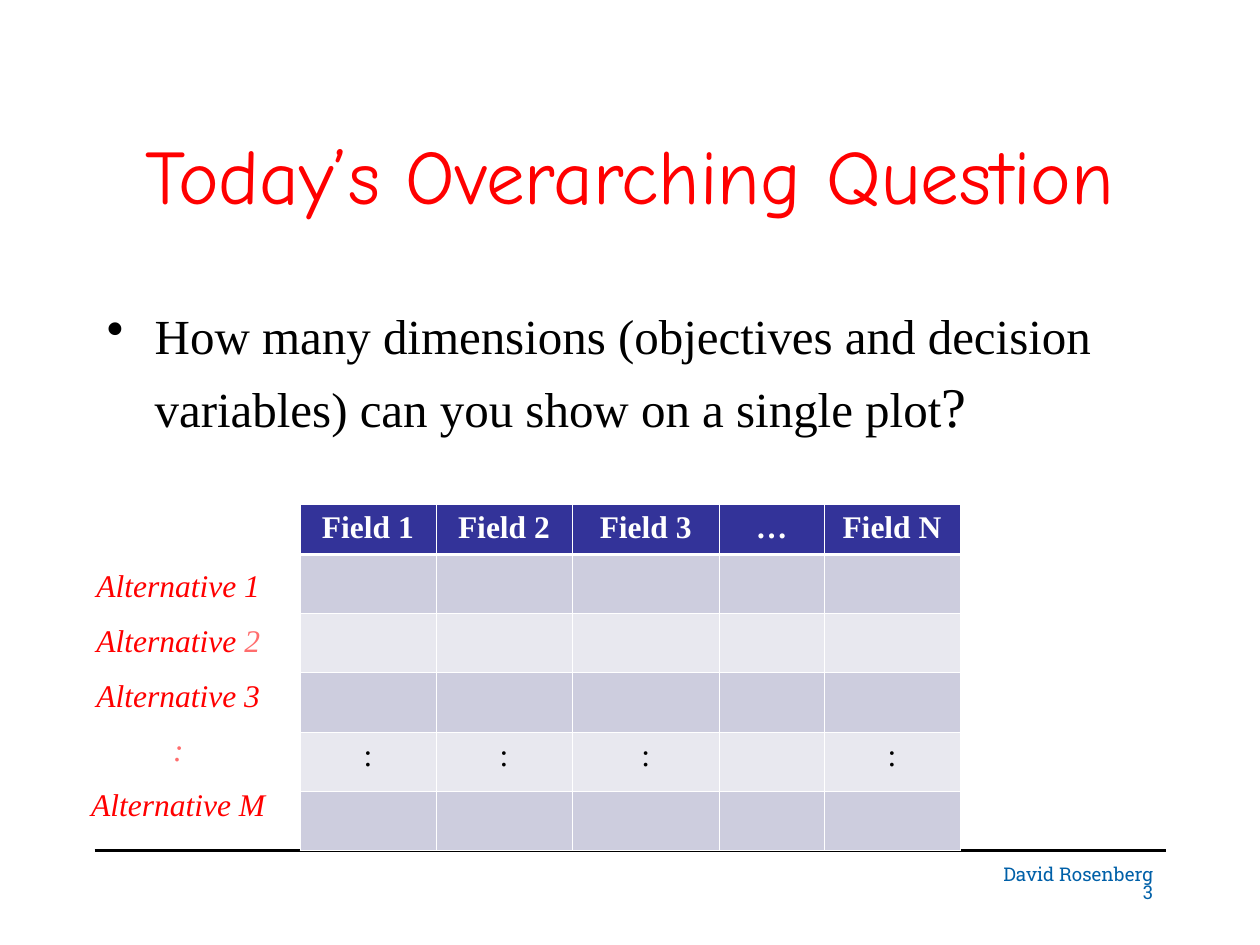
from pptx import Presentation
from pptx.dml.color import RGBColor as RGB
from pptx.enum.shapes import MSO_CONNECTOR as CONN
from pptx.enum.text import MSO_ANCHOR as ANCHOR, PP_ALIGN as ALIGN
from pptx.oxml import parse_xml
from pptx.oxml.ns import nsdecls
from pptx.util import Inches, Pt

COLORS = {
    "black": "000000", "white": "FFFFFF", "red": "FF0000", "pale": "FF6D6D",
    "blue": "0060A8", "head": "333399", "odd": "CDCDDE", "even": "E8E8EF",
}
SERIF = "Times New Roman"


def color(name):
    return RGB.from_string(COLORS[name])


def add_xml(parent, xml):
    head, tail = xml.split(">", 1) if not xml.endswith("/>") else (xml[:-2], "")
    end = ">" + tail if tail else "/>"
    parent.append(parse_xml(f"{head} {nsdecls('a')}{end}"))


def add_run(para, text, size=18, font=SERIF, tint="black", bold=False, italic=False):
    run = para.add_run()
    run.text = text
    run.font.size = Pt(size)
    run.font.name = font
    run.font.bold = bold
    run.font.italic = italic
    run.font.color.rgb = color(tint)


def write(frame, lines, align=ALIGN.LEFT, gap=0, lead=1, **style):
    """Each line is a list of (text, changes to the style) pairs."""
    frame.word_wrap = True
    for i, line in enumerate(lines):
        para = frame.add_paragraph() if i else frame.paragraphs[0]
        para.alignment = align
        para.space_after = Pt(gap)
        para.line_spacing = lead
        for text, changes in line:
            add_run(para, text, **{**style, **changes})


def add_box(slide, left, top, width, height):
    return slide.shapes.add_textbox(
        Inches(left), Inches(top), Inches(width), Inches(height)).text_frame


def add_title(slide, *box):
    frame = add_box(slide, *box)
    frame.vertical_anchor = ANCHOR.MIDDLE
    write(frame, [[("Today’s Overarching Question", {})]],
          align=ALIGN.CENTER, size=44, font="Comic Neue", tint="red")


def add_body(slide, *box):
    frame = add_box(slide, *box)
    props = frame.paragraphs[0]._p.get_or_add_pPr()
    props.set("marL", str(Inches(0.38)))
    props.set("indent", str(-Inches(0.38)))
    add_xml(props, '<a:buChar char="•"/>')
    question = ("How many dimensions (objectives and decision variables) "
                "can you show on a single plot")
    write(frame, [[(question, {}), ("?", {"size": 32})]], lead=1.1, size=28)


def add_footer(slide, left, top, width, height):
    rule = slide.shapes.add_connector(
        CONN.STRAIGHT, Inches(0.75), Inches(6.75), Inches(left + width), Inches(6.75))
    rule.line.color.rgb = color("black")
    rule.line.width = Pt(1.5)
    add_xml(rule._element.spPr, "<a:effectLst/>")
    write(add_box(slide, left, top, width, height),
          [[("David Rosenberg", {})], [("3", {})]],
          align=ALIGN.RIGHT, lead=0.8, size=10.8, font="Roboto Slab", tint="blue")


def set_borders(cell, top, bottom):
    props = cell._tc.get_or_add_tcPr()
    widths = {"lnL": 0.45, "lnR": 0.45, "lnT": top, "lnB": bottom}
    for i, (side, width) in enumerate(widths.items()):
        props.insert(i, parse_xml(
            f'<a:{side} {nsdecls("a")} w="{Pt(width)}"><a:solidFill>'
            f'<a:srgbClr val="{COLORS["white"]}"/></a:solidFill></a:{side}>'))


def add_grid(slide, left, top, width, height):
    heads = ["Field 1", "Field 2", "Field 3", "…", "Field N"]
    blank = [""] * len(heads)
    dots = [":", ":", ":", "", ":"]
    rows = [heads, blank, blank, blank, dots, blank]
    table = slide.shapes.add_table(
        len(rows), len(heads), Inches(left), Inches(top),
        Inches(width), Inches(height)).table
    for col, size in zip(table.columns, [1.08, 1.08, 1.17, 0.83, 1.08]):
        col.width = Inches(size)
    first = 0.4
    for r, texts in enumerate(rows):
        rest = (height - first) / (len(rows) - 1)
        table.rows[r].height = Inches(rest if r else first)
        fill = ("odd" if r % 2 else "even") if r else "head"
        for c, text in enumerate(texts):
            cell = table.cell(r, c)
            cell.fill.solid()
            cell.fill.fore_color.rgb = color(fill)
            set_borders(cell, 1.47 if r == 1 else 0.45, 0.45 if r else 1.47)
            if text:
                write(cell.text_frame, [[(text, {})]], align=ALIGN.CENTER,
                      tint="black" if r else "white", bold=r == 0)


def add_labels(slide, *box):
    pale = {"tint": "pale"}
    lines = [
        [("Alternative 1", {})],
        [("Alternative", {}), (" 2", pale)],
        [("Alternative 3", {})],
        [(":", pale)],
        [("Alternative M", {})],
    ]
    write(add_box(slide, *box), lines, align=ALIGN.CENTER, gap=8, lead=1.08,
          tint="red", italic=True)


def main():
    deck = Presentation()
    deck.slide_width, deck.slide_height = Inches(10), Inches(7.5)
    slide = deck.slides.add_slide(deck.slide_layouts[6])
    add_title(slide, 0.75, 0.92, 8.5, 0.92)
    add_body(slide, 0.75, 2.33, 8.5, 4.17)
    add_footer(slide, 6.92, 6.83, 2.33, 0.5)
    add_grid(slide, 2.38, 4, 5.25, 2.75)
    add_labels(slide, 0.58, 4.42, 1.67, 2.05)
    deck.save("out.pptx")


if __name__ == "__main__":
    main()
